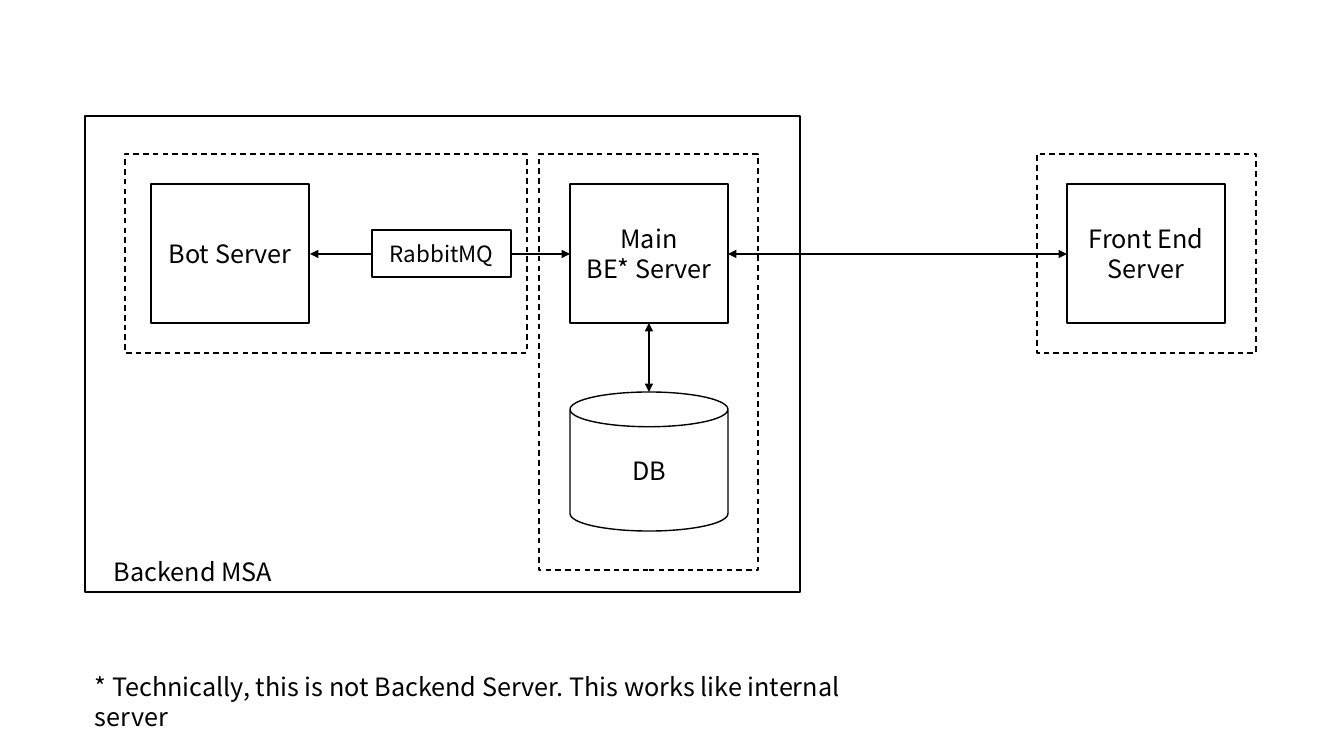
from lxml.etree import SubElement
from pptx import Presentation
from pptx.dml.color import RGBColor
from pptx.enum.dml import MSO_LINE
from pptx.enum.shapes import MSO_CONNECTOR, MSO_SHAPE
from pptx.enum.text import MSO_ANCHOR, MSO_AUTO_SIZE, PP_ALIGN
from pptx.oxml.ns import qn
from pptx.util import Pt

PX = 12192000 / 1344
FONT = "Noto Sans CJK SC"
BLACK, WHITE = "000000", "FFFFFF"


def px(*lengths):
    """Turn pixel lengths into EMU."""
    return [round(length * PX) for length in lengths]


def color(target, value):
    """Give a fill, line or font a hex colour."""
    if hasattr(target, "solid"):
        target.solid()
        target = target.fore_color
    else:
        target = target.color
    target.rgb = RGBColor.from_string(value)


deck = Presentation()
deck.slide_width, deck.slide_height = px(1344, 756)
slide = deck.slides.add_slide(deck.slide_layouts[6])
shapes = slide.shapes

# Frames: left, top, width, height, dashed
frames = [
    (1037, 154, 219, 199, True),
    (85, 116, 715, 476, False),
    (125, 154, 402, 199, True),
    (539, 154, 219, 416, True),
]
for *place, dashed in frames:
    frame = shapes.add_shape(MSO_SHAPE.RECTANGLE, *px(*place))
    frame.shadow.inherit = False
    color(frame.line, BLACK)
    frame.line.width = Pt(1)
    if dashed:
        frame.fill.background()
        frame.line.dash_style = MSO_LINE.DASH
    else:
        color(frame.fill, WHITE)

# Two-way arrows: start x, start y, end x, end y
arrows = [
    (728, 254, 1067, 254),
    (310, 254, 570, 254),
    (649, 323, 649, 392),
]
for ends in arrows:
    arrow = shapes.add_connector(MSO_CONNECTOR.STRAIGHT, *px(*ends))
    color(arrow.line, BLACK)
    arrow.line.width = Pt(1)
    line = arrow.line._get_or_add_ln()
    for end in ("a:headEnd", "a:tailEnd"):
        SubElement(line, qn(end), type="triangle")
    SubElement(arrow._element.spPr, qn("a:effectLst"))

# Nodes: text, preset, left, top, width, height, font size
nodes = [
    ("Main\vBE* Server", MSO_SHAPE.RECTANGLE, 570, 184, 158, 139, 18),
    ("Bot Server", MSO_SHAPE.RECTANGLE, 151, 184, 158, 139, 18),
    ("Front End Server", MSO_SHAPE.RECTANGLE, 1067, 184, 158, 139, 18),
    ("DB", MSO_SHAPE.CAN, 570, 392, 158, 139, 18),
    ("RabbitMQ", MSO_SHAPE.RECTANGLE, 372, 230, 139, 47, 16),
]
for text, preset, *place, size in nodes:
    node = shapes.add_shape(preset, *px(*place))
    node.shadow.inherit = False
    color(node.fill, WHITE)
    color(node.line, BLACK)
    node.line.width = Pt(1)
    node.text_frame.text = text
    node.text_frame.vertical_anchor = MSO_ANCHOR.MIDDLE
    para = node.text_frame.paragraphs[0]
    para.alignment = PP_ALIGN.CENTER
    para.font.name, para.font.size = FONT, Pt(size)
    color(para.font, BLACK)

# Captions: text, left, top, width, height
captions = [
    ("Backend MSA", 104, 551, 226, 40),
    ("* Technically, this is not Backend Server. This works like internal server",
     85, 666, 827, 40),
]
for text, *place in captions:
    box = shapes.add_textbox(*px(*place))
    box.text_frame.word_wrap = True
    box.text_frame.auto_size = MSO_AUTO_SIZE.SHAPE_TO_FIT_TEXT
    box.text_frame.text = text
    para = box.text_frame.paragraphs[0]
    para.font.name, para.font.size = FONT, Pt(18)
    color(para.font, BLACK)

deck.save("out.pptx")
